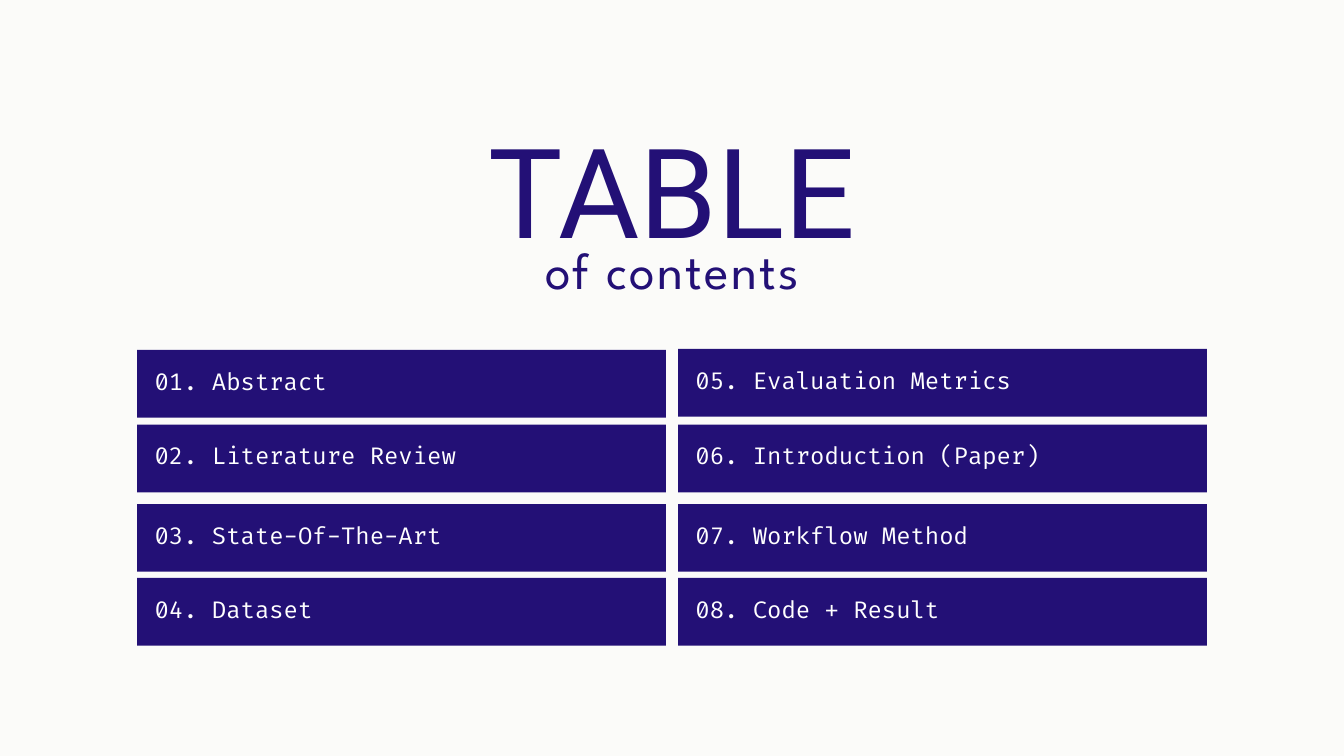
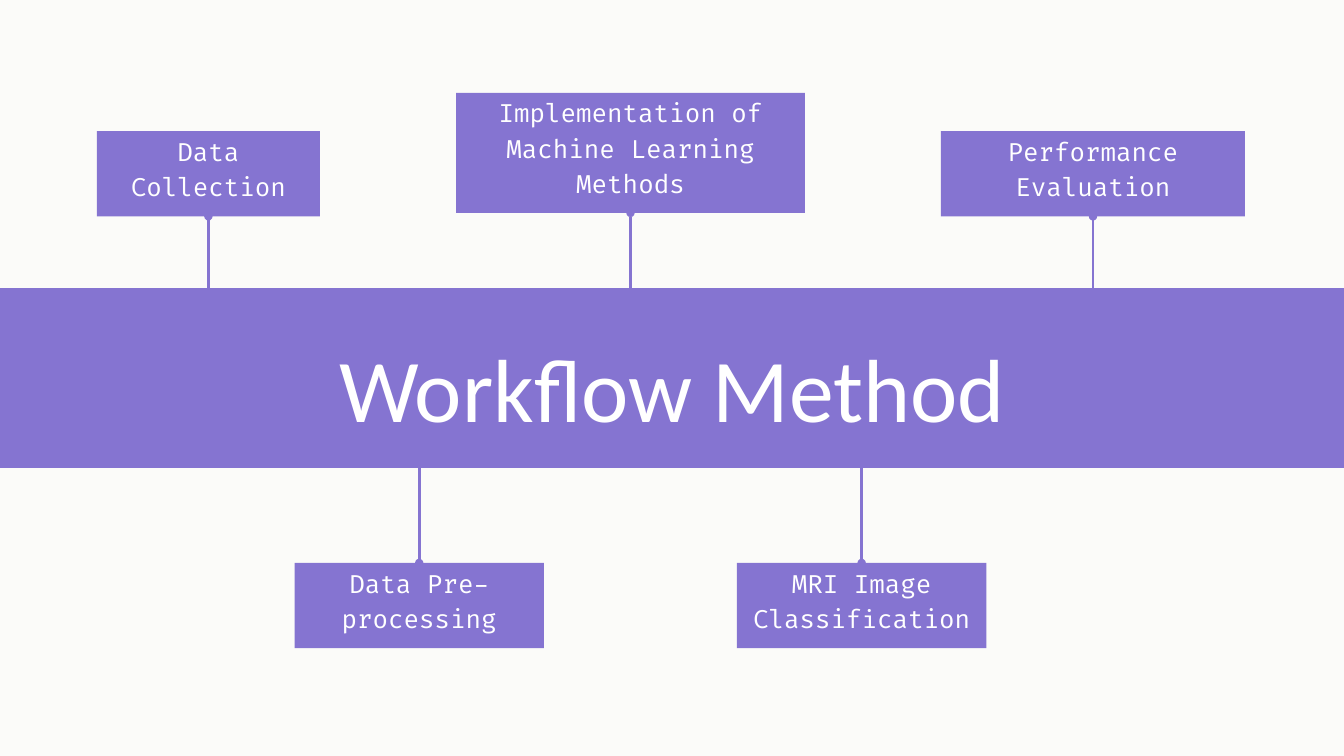
"""Build a contents page and a workflow page that share one style."""
from lxml.etree import SubElement
from pptx import Presentation
from pptx.dml.color import RGBColor
from pptx.enum.shapes import MSO_CONNECTOR, MSO_SHAPE
from pptx.enum.text import MSO_ANCHOR, PP_ALIGN
from pptx.oxml.ns import qn
from pptx.util import Pt

PAPER = RGBColor(0xFB, 0xFB, 0xF9)
INDIGO = RGBColor(0x23, 0x10, 0x76)
VIOLET = RGBColor(0x85, 0x74, 0xD1)
WHITE = RGBColor(0xFF, 0xFF, 0xFF)

PAGE_WIDTH, PAGE_HEIGHT = 1440, 810
LINE_RATIO = 1.4

TITLE_STYLE = {"name": "Roboto", "size": 133.6, "color": INDIGO}
SUBTITLE_STYLE = {"name": "League Spartan", "size": 55, "color": INDIGO, "spacing": 2.4}
ENTRY_STYLE = {"name": "Fira Code", "size": 25, "color": WHITE}
STEP_STYLE = {"name": "Fira Code", "size": 27, "color": WHITE}
BAND_STYLE = {"name": "Calibri", "size": 96, "color": WHITE}

ENTRY_WIDTH, ENTRY_HEIGHT = 566.6, 72.6
ENTRY_COLUMNS = [
    (147, [("01. Abstract", 375), ("02. Literature Review", 455),
           ("03. State-Of-The-Art", 540), ("04. Dataset", 619.2)]),
    (726.5, [("05. Evaluation Metrics", 373.8), ("06. Introduction (Paper)", 455),
             ("07. Workflow Method", 540), ("08. Code + Result", 619.2)]),
]

BAND_BOX = (0, 308.8, PAGE_WIDTH, 192.4)
UPPER_REACH, LOWER_REACH = 24.5, 15
WORKFLOW_STEPS = [
    (["Data Collection"], (103.8, 140.5, 239, 91.3)),
    (["Data Pre-processing"], (315.6, 603.2, 267.2, 91.3)),
    (["Implementation of", "Machine Learning Methods"], (488.7, 99.4, 373.7, 128.7)),
    (["MRI Image Classification"], (789.6, 603.2, 267.2, 91.3)),
    (["Performance Evaluation"], (1008.2, 140.5, 325.7, 91.3)),
]


def write_text(box, lines, style, align=PP_ALIGN.CENTER, anchor=MSO_ANCHOR.TOP,
               insets=(0, 0, 0, 0)):
    """Fill a box with styled paragraphs; insets run left, top, right, bottom."""
    frame = box.text_frame
    left, top, right, bottom = map(Pt, insets)
    frame_format = {"word_wrap": True, "vertical_anchor": anchor, "margin_left": left,
                    "margin_top": top, "margin_right": right, "margin_bottom": bottom}
    for name, value in frame_format.items():
        setattr(frame, name, value)
    for index, line in enumerate(lines):
        para = frame.add_paragraph() if index else frame.paragraphs[0]
        para.alignment = align
        para.line_spacing = Pt(round(style["size"] * LINE_RATIO, 1))
        span = para.add_run()
        span.text = line
        for name, value in {"name": style["name"], "size": Pt(style["size"])}.items():
            setattr(span.font, name, value)
        span.font.color.rgb = style["color"]
        if "spacing" in style:
            span.font._element.set("spc", str(round(style["spacing"] * 100)))


def add_label(page, box, text, style):
    """Add a centred text box."""
    label = page.shapes.add_textbox(*map(Pt, box))
    write_text(label, [text], style)


def add_block(page, box, color):
    """Add a flat rectangle without outline or shadow."""
    block = page.shapes.add_shape(MSO_SHAPE.RECTANGLE, *map(Pt, box))
    block.shadow.inherit = False
    block.fill.solid()
    block.fill.fore_color.rgb = color
    block.line.fill.background()
    return block


def add_stem(page, x, start, end):
    """Add a vertical line with a dot at each end."""
    stem = page.shapes.add_connector(MSO_CONNECTOR.STRAIGHT, *map(Pt, (x, start, x, end)))
    stem.line.color.rgb = VIOLET
    stem.line.width = Pt(3)
    outline = stem.line._get_or_add_ln()
    for tip in ("a:headEnd", "a:tailEnd"):
        SubElement(outline, qn(tip), type="oval")
    SubElement(stem._element.spPr, qn("a:effectLst"))


def add_page(deck):
    """Add a blank page on the paper colour."""
    page = deck.slides.add_slide(deck.slide_layouts[6])
    page.background.fill.solid()
    page.background.fill.fore_color.rgb = PAPER
    return page


def add_step(page, lines, box):
    """Add a workflow card and the stem that ties it to the band."""
    left, top, width, height = box
    band_top, band_height = BAND_BOX[1], BAND_BOX[3]
    card = add_block(page, box, VIOLET)
    write_text(card, lines, STEP_STYLE, insets=(4.3, 0, 4.3, 0))
    center = left + width / 2
    if top < band_top:
        add_stem(page, center, band_top + UPPER_REACH, top + height)
    else:
        add_stem(page, center, top, band_top + band_height - LOWER_REACH)


def build_contents(deck):
    """Build the contents page with two columns of entries."""
    page = add_page(deck)
    add_label(page, (276.5, 95.8, 887, 180), "TABLE", TITLE_STYLE)
    add_label(page, (450, 244, 540.7, 73.4), "of contents", SUBTITLE_STYLE)
    for left, entries in ENTRY_COLUMNS:
        for text, top in entries:
            entry = add_block(page, (left, top, ENTRY_WIDTH, ENTRY_HEIGHT), INDIGO)
            write_text(entry, [text], ENTRY_STYLE, PP_ALIGN.JUSTIFY, MSO_ANCHOR.MIDDLE,
                       (18.7, 7.2, 18.7, 18.7))


def build_workflow(deck):
    """Build the workflow page with cards above and below a band."""
    page = add_page(deck)
    add_block(page, BAND_BOX, VIOLET)
    for lines, box in WORKFLOW_STEPS:
        add_step(page, lines, box)
    left, top, width, _ = BAND_BOX
    add_label(page, (left + 81.4, top + 28.2, width - 162.8, 130.3),
              "Workflow Method", BAND_STYLE)


def main():
    """Create the deck and save it."""
    deck = Presentation()
    deck.slide_width, deck.slide_height = Pt(PAGE_WIDTH), Pt(PAGE_HEIGHT)
    build_contents(deck)
    build_workflow(deck)
    deck.save("out.pptx")


if __name__ == "__main__":
    main()
